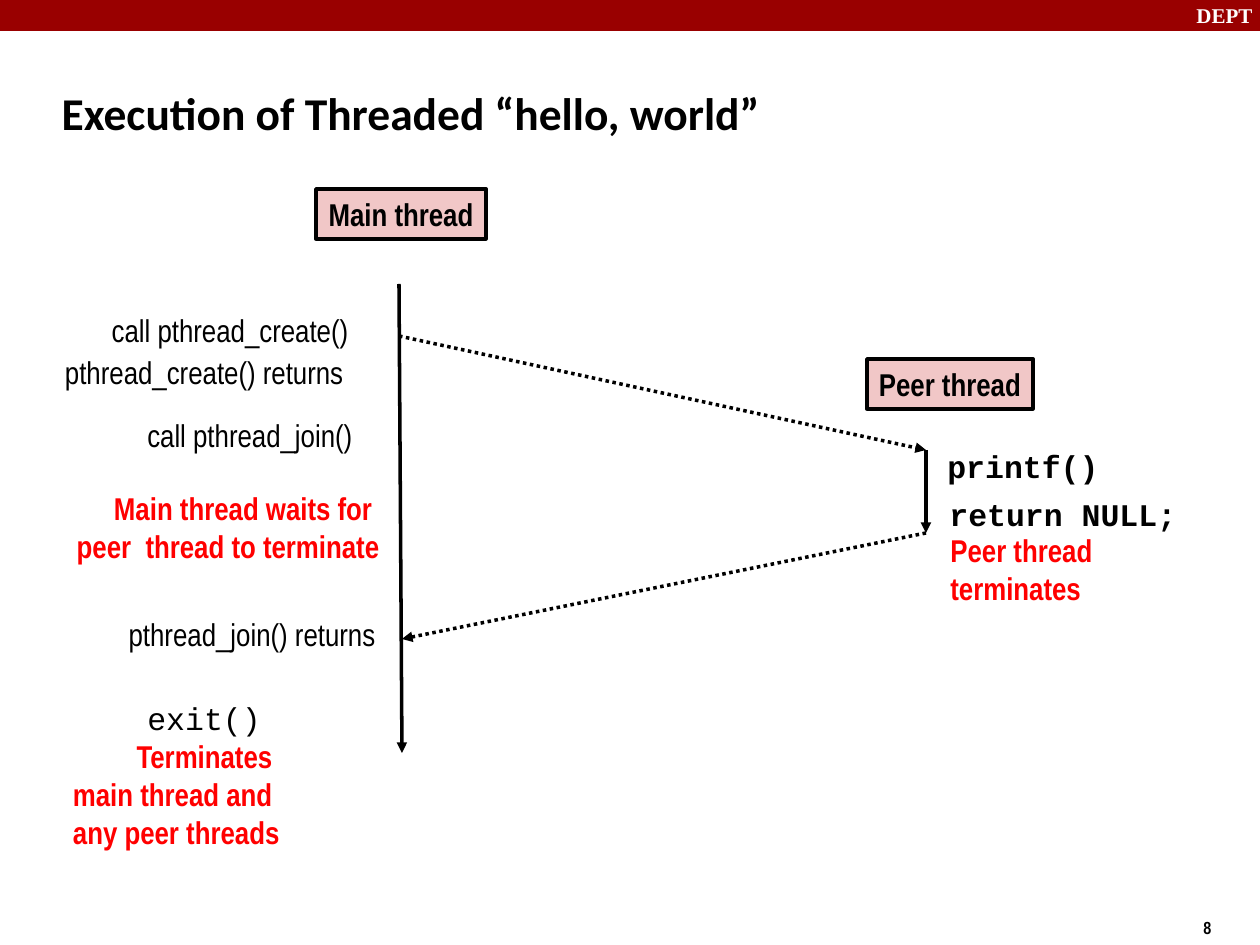
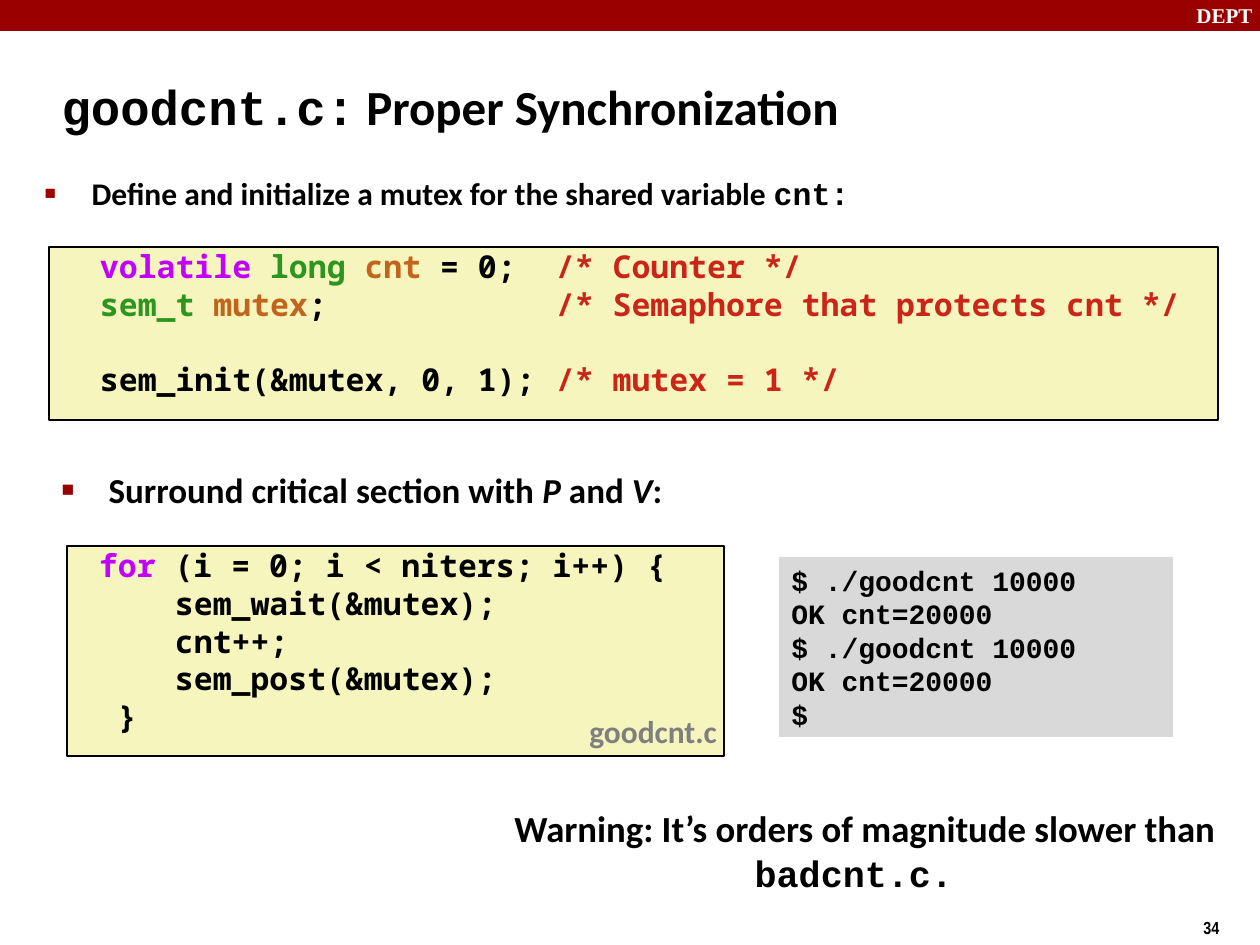
from dataclasses import dataclass, replace

from lxml import etree
from pptx import Presentation
from pptx import util as u
from pptx.dml.color import RGBColor
from pptx.enum import dml, shapes, text
from pptx.oxml import ns

EMU_PER_PX = 914400 / 126
ALIGN = text.PP_ALIGN
MIDDLE = text.MSO_ANCHOR.MIDDLE
TOP = text.MSO_ANCHOR.TOP


@dataclass(frozen=True)
class Style:
    font: str
    size: float
    color: str = "000000"
    bold: bool = True


class Theme:
    # Colours
    black, red, grey = "000000", "FF0000", "7F7F7F"
    band, thread, code_fill, terminal = "990000", "F1C7C7", "F6F5BD", "D9D9D9"
    keyword, kind, variable, remark = "C200FF", "2D961E", "C1651C", "CB2418"
    # Type
    mono = "Courier New"
    title = Style("Calibri", 26)
    bullet = Style("Calibri", 18)
    warning = Style("Calibri", 21)
    file_name = Style("Calibri", 18, grey)
    call = Style("Arial Narrow", 18, bold=False)
    heading = Style("Arial Narrow", 18)
    event = Style("Arial Narrow", 18, red)
    peer_code = Style(mono, 18)
    main_code = Style(mono, 18, bold=False)
    listing = Style("Noto Sans Mono", 18)
    output = Style(mono, 16)
    header = Style("Times New Roman", 12, "FFFFFF")
    page = Style("Arial Narrow", 10)


CODE_COLUMN = 19  # advance of one listing character
CODE_LINE = 21.5  # height of one listing line, in points


# Basics

def px(length):
    return u.Emu(round(length * EMU_PER_PX))


def box(*lengths):
    return [px(length) for length in lengths]


def sub(parent, tag, **attributes):
    return etree.SubElement(parent, ns.qn(tag), attributes)


def paint(target, color):
    target.solid()
    target.fore_color.rgb = RGBColor.from_string(color)


def write(frame, paragraphs, align=ALIGN.LEFT, anchor=TOP, wrap=False):
    """Fill a frame from (style, content) pairs; content is text or a list of
    runs, each either text or (text, font attributes)."""
    frame.word_wrap = wrap
    frame.auto_size = text.MSO_AUTO_SIZE.NONE
    frame.vertical_anchor = anchor
    for index, (style, content) in enumerate(paragraphs):
        paragraph = frame.add_paragraph() if index else frame.paragraphs[0]
        paragraph.alignment = align
        font = paragraph.font
        font.name, font.size, font.bold = style.font, u.Pt(style.size), style.bold
        paint(font.fill, style.color)
        for part in [content] if isinstance(content, str) else content:
            words, changes = (part, {}) if isinstance(part, str) else part
            run = paragraph.add_run()
            run.text = words
            for key, value in changes.items():
                if key == "color":
                    paint(run.font.fill, value)
                else:
                    setattr(run.font, key, value)
    return frame.paragraphs


def label(slide, place, *paragraphs, **layout):
    frame = slide.shapes.add_textbox(*box(*place)).text_frame
    return write(frame, paragraphs, **layout)


def panel(slide, place, fill, line_width=0):
    rect = slide.shapes.add_shape(shapes.MSO_SHAPE.RECTANGLE, *box(*place))
    rect.shadow.inherit = False
    paint(rect.fill, fill)
    if line_width:
        paint(rect.line.fill, Theme.black)
        rect.line.width = u.Pt(line_width)
    else:
        rect.line.fill.background()
    return rect.text_frame


# Shared slide frame

def start_slide(deck, layout, page, title_top, title, style=Theme.title):
    slide = deck.slides.add_slide(deck.slide_layouts.get_by_name(layout))
    panel(slide, (0, 0, 1260, 31), Theme.band)
    label(slide, (1184, -4, 84, 38), (Theme.header, "DEPT"))
    label(slide, (1191, 911, 94, 36), (Theme.page, page))
    heading = slide.shapes.title
    heading.left, heading.top, heading.width, heading.height = box(
        49, title_top, 1046, 105)
    write(heading.text_frame, [(style, title)], anchor=MIDDLE, wrap=True)
    return slide


# Thread diagram parts

def thread_name(slide, place, name):
    write(panel(slide, place, Theme.thread, 2), [(Theme.heading, name)],
          align=ALIGN.CENTER, anchor=MIDDLE)


def arrow(slide, start, end, dotted=False):
    link = slide.shapes.add_connector(
        shapes.MSO_CONNECTOR.STRAIGHT, *box(*start, *end))
    paint(link.line.fill, Theme.black)
    link.line.width = u.Pt(2)
    if dotted:
        link.line.dash_style = dml.MSO_LINE.ROUND_DOT
    sub(link.line._get_or_add_ln(), "a:tailEnd", type="triangle")
    sub(link._element.spPr, "a:effectLst")


# Code slide parts

def bullet(body, place, style, content):
    body.left, body.top, body.width, body.height = box(*place)
    paragraph, = write(body.text_frame, [(style, content)], wrap=True)
    paragraph.space_before = u.Pt(4.8)
    props = paragraph._p.get_or_add_pPr()
    props.set("marL", str(px(47)))
    props.set("indent", str(-px(47)))
    marks = [etree.Element(ns.qn(tag)) for tag in
             ("a:buClr", "a:buSzPct", "a:buFont", "a:buChar")]
    sub(marks[0], "a:srgbClr", val=Theme.band)
    marks[1].set("val", "60000")
    marks[2].set("typeface", "Arial")
    marks[3].set("char", "■")
    props.find(ns.qn("a:spcBef")).getparent()
    position = props.index(props.find(ns.qn("a:spcBef"))) + 1
    props[position:position] = marks


def code_panel(slide, place, lines, lead, indents=(), comment_column=0):
    """Code lines; lead, indents and comment_column count characters."""
    frame = panel(slide, place, Theme.code_fill, 1)
    frame.margin_top = frame.margin_bottom = 0
    frame.margin_left = px(13 + lead * CODE_COLUMN)
    paragraphs = write(frame, [(Theme.listing, line) for line in lines], wrap=True)
    for paragraph, indent in zip(paragraphs, indents):
        paragraph._p.get_or_add_pPr().set("marL", str(px(indent * CODE_COLUMN)))
    if comment_column:
        for paragraph in paragraphs:
            props = paragraph._p.get_or_add_pPr()
            tabs = etree.Element(ns.qn("a:tabLst"))
            sub(tabs, "a:tab", pos=str(px(comment_column * CODE_COLUMN)), algn="l")
            props.find(ns.qn("a:defRPr")).addprevious(tabs)
    return paragraphs


def ink(words, color):
    return words, {"color": color}


# Slides

def execution_slide(deck):
    t = Theme
    slide = start_slide(deck, "Title Only", "8", 60,
                        "Execution of Threaded “hello, world”")
    thread_name(slide, (316, 189, 170, 50), "Main thread")
    thread_name(slide, (867, 359, 166, 50), "Peer thread")

    # Time lines, then creation and joining of the peer
    create, peer_start, peer_end, join = (399, 336), (926, 450), (926, 533), (402, 639)
    arrow(slide, (399, 284), (402, 753))
    arrow(slide, peer_start, peer_end)
    arrow(slide, create, peer_start, dotted=True)
    arrow(slide, peer_end, join, dotted=True)

    # Main thread steps
    for place, call in (
            ((98, 305, 263, 50), "call pthread_create()"),
            ((53, 347, 303, 50), "pthread_create() returns"),
            ((134, 410, 231, 50), "call pthread_join()"),
            ((116, 609, 272, 50), "pthread_join() returns")):
        label(slide, place, (t.call, call), align=ALIGN.RIGHT)
    label(slide, (66, 483, 326, 88),
          (t.event, "Main thread waits for "),
          (t.event, "peer  thread to terminate"),
          align=ALIGN.RIGHT, anchor=MIDDLE)
    label(slide, (62, 693, 230, 164),
          (t.main_code, "exit() "), (t.event, "Terminates "),
          (t.event, "main thread and "), (t.event, "any peer threads"),
          align=ALIGN.RIGHT, anchor=MIDDLE)

    # Peer thread steps
    label(slide, (935, 441, 176, 50), (t.peer_code, "printf()"), anchor=MIDDLE)
    label(slide, (937, 489, 252, 50), (t.peer_code, "return NULL;"), anchor=MIDDLE)
    label(slide, (938, 525, 166, 88),
          (t.event, "Peer thread"), (t.event, "terminates"))


def synchronization_slide(deck):
    t = Theme
    mono, italic = {"name": t.mono}, {"italic": True}
    slide = start_slide(deck, "Two Content", "34", 53,
                        [("goodcnt.c:", mono), " Proper Synchronization"],
                        replace(t.title, size=28))
    define, surround = list(slide.placeholders)[1:3]

    # Mutex definition
    bullet(define, (32, 168, 1144, 63), t.bullet,
           ["Define and initialize a mutex for the shared variable ", ("cnt:", mono)])
    declarations = code_panel(slide, (49, 247, 1169, 173), [
        [ink("volatile ", t.keyword), ink("long ", t.kind), ink("cnt", t.variable),
         " = 0;\t", ink("/* Counter */", t.remark)],
        [ink("sem_t ", t.kind), ink("mutex", t.variable), ";\t",
         ink("/* Semaphore that protects cnt */", t.remark)],
        ["sem_init(&mutex, 0, 1);\t", ink("/* mutex = 1 */", t.remark)],
    ], lead=2, comment_column=24)
    declarations[-1].space_before = u.Pt(CODE_LINE)

    # Critical section and its output
    bullet(surround, (49, 462, 1144, 63), replace(t.bullet, size=20),
           ["Surround critical section with ", ("P", italic), " and ",
            ("V", italic), ":"])
    code_panel(slide, (67, 546, 657, 210), [
        [ink("for", t.keyword), " (i = 0; i < niters; i++) {"],
        "sem_wait(&mutex);", "cnt++;", "sem_post(&mutex);", "}",
    ], lead=1, indents=(0, 4, 4, 4, 1))
    label(slide, (577, 706, 152, 50), (t.file_name, "goodcnt.c"))
    session = ["$ ./goodcnt 10000", "OK cnt=20000"] * 2 + ["$"]
    write(panel(slide, (779, 557, 394, 180), t.terminal),
          [(t.output, line) for line in session], anchor=MIDDLE)

    label(slide, (494, 800, 742, 113),
          (t.warning, ["Warning: It’s orders of magnitude slower than ",
                       ("badcnt.c. ", mono)]),
          align=ALIGN.CENTER, wrap=True)


def main():
    deck = Presentation()
    deck.slide_width, deck.slide_height = box(1260, 945)
    execution_slide(deck)
    synchronization_slide(deck)
    deck.save("out.pptx")


if __name__ == "__main__":
    main()
